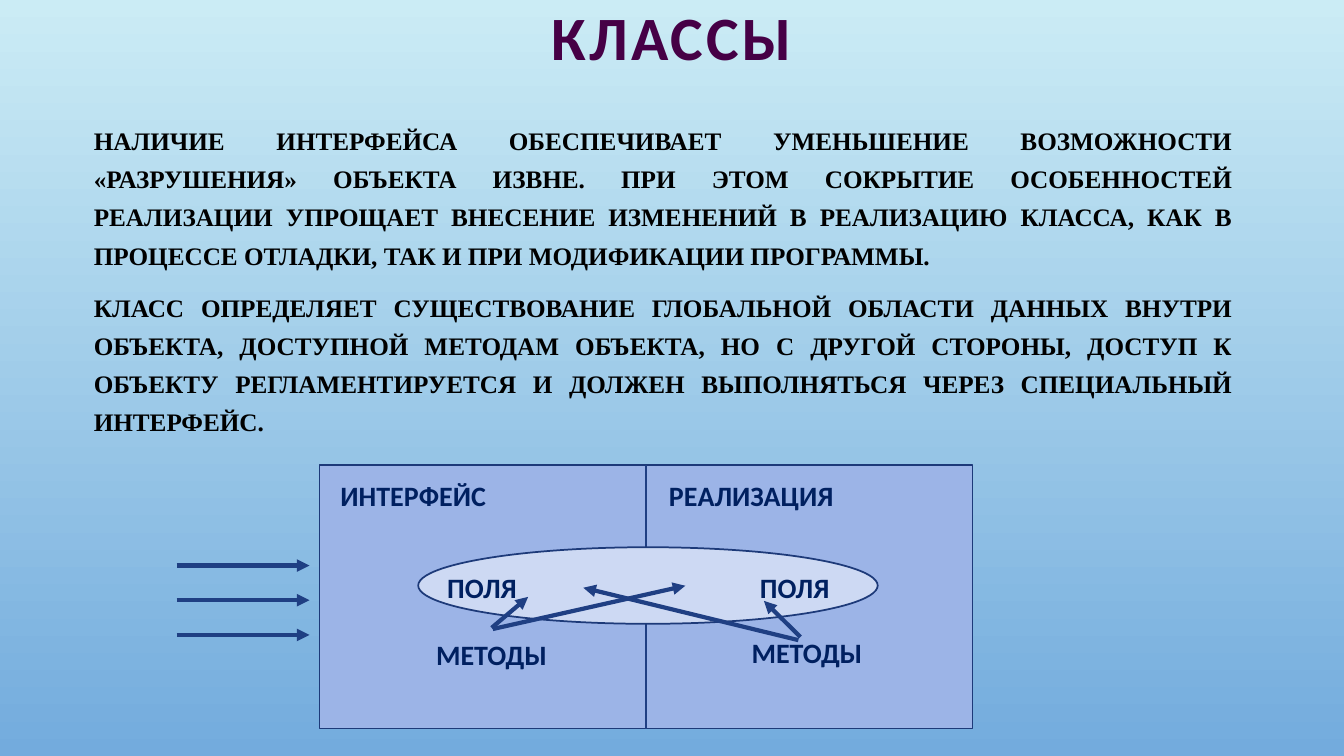
from lxml import etree
from pptx import Presentation
from pptx.dml.color import RGBColor
from pptx.enum.shapes import MSO_CONNECTOR, MSO_SHAPE
from pptx.enum.text import MSO_ANCHOR, MSO_AUTO_SIZE, PP_ALIGN
from pptx.oxml.ns import qn
from pptx.util import Cm, Pt

SKY_TOP = RGBColor(0xCB, 0xEC, 0xF5)
SKY_BOTTOM = RGBColor(0x73, 0xAB, 0xDD)
PLUM = RGBColor(0x46, 0x00, 0x46)
BLACK = RGBColor(0x00, 0x00, 0x00)
NAVY = RGBColor(0x00, 0x20, 0x60)
OUTLINE = RGBColor(0x1D, 0x3A, 0x79)
ARROW = RGBColor(0x1F, 0x3F, 0x83)
CLASS_FILL = RGBColor(0x9C, 0xB4, 0xE7)
FIELDS_FILL = RGBColor(0xCD, 0xD9, 0xF3)

PARAGRAPHS = (
    "НАЛИЧИЕ ИНТЕРФЕЙСА ОБЕСПЕЧИВАЕТ УМЕНЬШЕНИЕ ВОЗМОЖНОСТИ «РАЗРУШЕНИЯ» "
    "ОБЪЕКТА ИЗВНЕ. ПРИ ЭТОМ СОКРЫТИЕ ОСОБЕННОСТЕЙ РЕАЛИЗАЦИИ УПРОЩАЕТ "
    "ВНЕСЕНИЕ ИЗМЕНЕНИЙ В РЕАЛИЗАЦИЮ КЛАССА, КАК В ПРОЦЕССЕ ОТЛАДКИ, ТАК И "
    "ПРИ МОДИФИКАЦИИ ПРОГРАММЫ.",
    "КЛАСС ОПРЕДЕЛЯЕТ СУЩЕСТВОВАНИЕ ГЛОБАЛЬНОЙ ОБЛАСТИ ДАННЫХ ВНУТРИ "
    "ОБЪЕКТА, ДОСТУПНОЙ МЕТОДАМ ОБЪЕКТА, НО С ДРУГОЙ СТОРОНЫ, ДОСТУП К "
    "ОБЪЕКТУ РЕГЛАМЕНТИРУЕТСЯ И ДОЛЖЕН ВЫПОЛНЯТЬСЯ ЧЕРЕЗ СПЕЦИАЛЬНЫЙ "
    "ИНТЕРФЕЙС.",
)


def place(shape, box):
    """Move a shape to a box of left, top, width and height in cm."""
    shape.left, shape.top, shape.width, shape.height = map(Cm, box)


def style_run(run, font, size, color):
    """Set a run in bold with the given font, size and colour."""
    run.font.name, run.font.size, run.font.bold = font, Pt(size), True
    run.font.color.rgb = color


def add_figure(slide, kind, box, fill):
    """Add a filled, outlined preset shape."""
    shape = slide.shapes.add_shape(kind, *map(Cm, box))
    shape.shadow.inherit = False
    shape.fill.solid()
    shape.fill.fore_color.rgb = fill
    shape.line.color.rgb = OUTLINE
    shape.line.width = Pt(1.25)


def add_label(slide, text, x, y, width):
    """Add a one-line bold label."""
    label = slide.shapes.add_textbox(Cm(x), Cm(y), Cm(width), Cm(1.11))
    label.text_frame.word_wrap = False
    label.text_frame.auto_size = MSO_AUTO_SIZE.SHAPE_TO_FIT_TEXT
    run = label.text_frame.paragraphs[0].add_run()
    run.text = text
    style_run(run, "Calibri", 20, NAVY)


def add_line(slide, x1, y1, x2, y2, width=3, arrow=True):
    """Add a straight line, with an arrowhead at its end if asked."""
    line = slide.shapes.add_connector(
        MSO_CONNECTOR.STRAIGHT, Cm(x1), Cm(y1), Cm(x2), Cm(y2))
    line.line.color.rgb = ARROW
    line.line.width = Pt(width)
    properties = line.line._get_or_add_ln()
    if arrow:
        etree.SubElement(properties, qn("a:tailEnd"), type="triangle")
    etree.SubElement(properties.getparent(), qn("a:effectLst"))


def paint_background(slide):
    """Fill the slide with a gradient from top to bottom."""
    fill = slide.background.fill
    fill.gradient()
    fill.gradient_angle = 270
    for stop, color, position in zip(
            fill.gradient_stops, (SKY_TOP, SKY_BOTTOM), (0, 1)):
        stop.color.rgb = color
        stop.position = position


def fill_title(title, box):
    """Write the centred, letter-spaced title."""
    place(title, box)
    frame = title.text_frame
    frame.auto_size = MSO_AUTO_SIZE.NONE
    frame.vertical_anchor = MSO_ANCHOR.MIDDLE
    paragraph = frame.paragraphs[0]
    paragraph.alignment = PP_ALIGN.CENTER
    paragraph.line_spacing = 0.9
    run = paragraph.add_run()
    run.text = "КЛАССЫ"
    style_run(run, "Calibri", 44, PLUM)
    run.font._element.set("spc", "250")


def fill_body(body, box):
    """Write the justified paragraphs without bullets."""
    place(body, box)
    frame = body.text_frame
    frame.auto_size = MSO_AUTO_SIZE.NONE
    frame.text = "\n".join(PARAGRAPHS)
    for paragraph in frame.paragraphs:
        paragraph.alignment = PP_ALIGN.JUSTIFY
        paragraph.line_spacing = 1.26
        paragraph.space_before = Pt(10)
        properties = paragraph._p.get_or_add_pPr()
        properties.set("marL", "0")
        properties.set("indent", "0")
        etree.SubElement(properties, qn("a:buNone"))
        style_run(paragraph.runs[0], "Times New Roman", 18, BLACK)


def draw_class(slide, box):
    """Draw the class: interface and implementation sharing the fields."""
    left, top, width, height = box
    middle = left + width / 2
    add_figure(slide, MSO_SHAPE.RECTANGLE, box, CLASS_FILL)
    add_line(slide, middle, top, middle, top + height, 0.75, arrow=False)
    add_figure(slide, MSO_SHAPE.OVAL,
               (left + 2.49, top + 2.08, 11.58, 1.93), FIELDS_FILL)
    for text, x, y, label_width in (
            ("ИНТЕРФЕЙС", 0.28, 0.23, 4.22), ("РЕАЛИЗАЦИЯ", 8.56, 0.23, 4.7),
            ("МЕТОДЫ", 2.69, 4.24, 3.33), ("МЕТОДЫ", 10.64, 4.19, 3.33),
            ("ПОЛЯ", 2.97, 2.54, 2.29), ("ПОЛЯ", 10.85, 2.54, 2.29)):
        add_label(slide, text, left + x, top + y, label_width)
    for x1, y1, x2, y2 in (
            (4.34, 4.11, 5.26, 3.33), (4.37, 4.14, 9.22, 3.05),
            (12.12, 4.34, 11.2, 3.43), (12.07, 4.42, 6.65, 3.1)):
        add_line(slide, left + x1, top + y1, left + x2, top + y2)


def draw_calls(slide, box, count=3):
    """Draw evenly spaced arrows that lead to the interface."""
    left, top, width, height = box
    for index in range(count):
        y = top + index * height / (count - 1)
        add_line(slide, left, y, left + width, y)


def build():
    """Build the slide and save it."""
    deck = Presentation()
    deck.slide_width, deck.slide_height = Cm(33.87), Cm(19.05)
    slide = deck.slides.add_slide(deck.slide_layouts[1])
    paint_background(slide)
    fill_title(slide.shapes.title, (2.54, 0, 28.78, 2.06))
    fill_body(slide.placeholders[1], (2.11, 2.84, 29.21, 13.23))
    draw_class(slide, (8.05, 11.71, 16.46, 6.65))
    draw_calls(slide, (4.45, 14.25, 3.35, 1.75))
    deck.save("out.pptx")


build()
